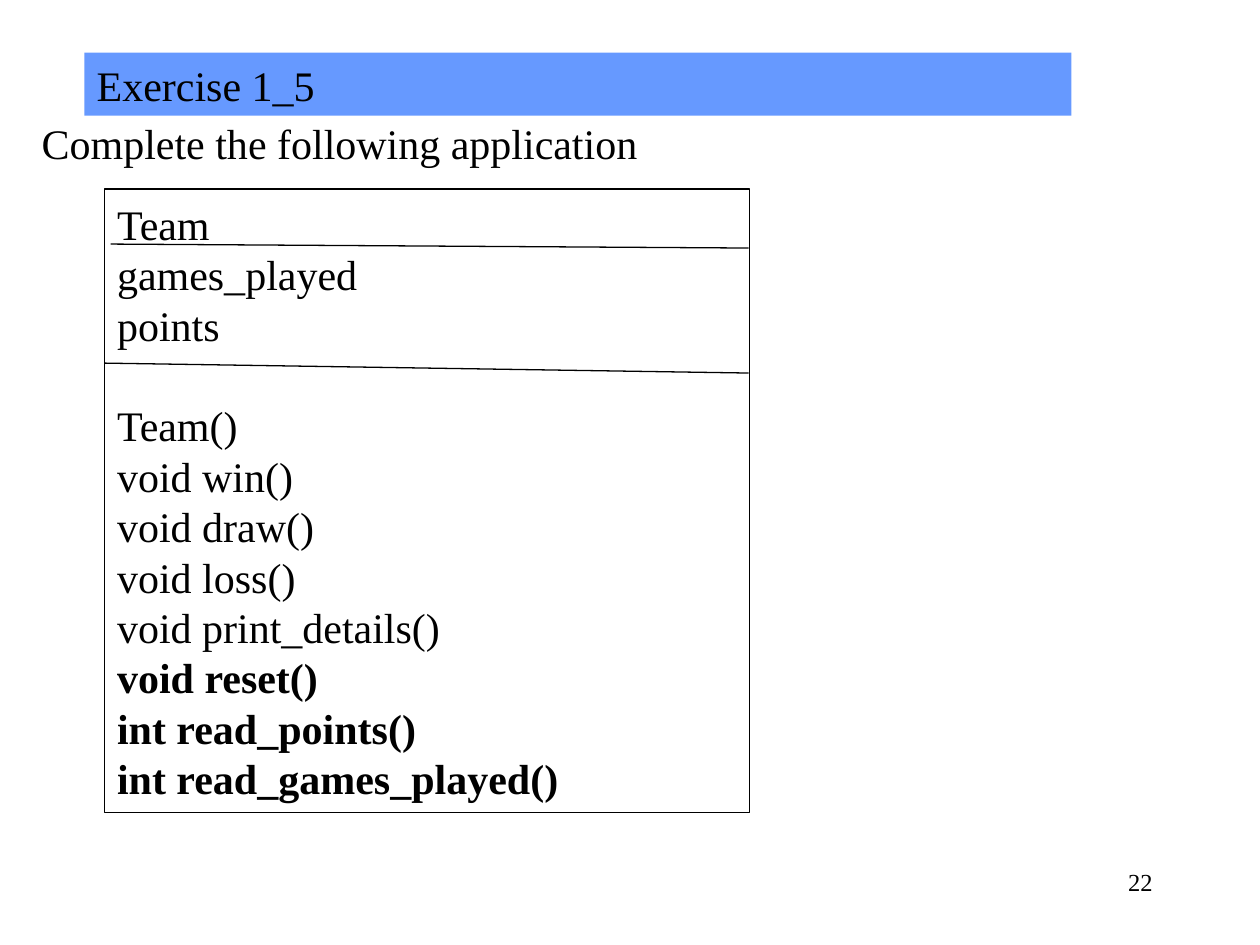
from dataclasses import dataclass

from pptx import Presentation
from pptx.dml.color import RGBColor
from pptx.enum.shapes import MSO_CONNECTOR, MSO_SHAPE
from pptx.enum.text import MSO_ANCHOR, MSO_AUTO_SIZE, PP_ALIGN
from pptx.oxml.ns import qn
from pptx.util import Cm, Pt

COLORS = {"banner": "6699FF", "ink": "000000"}
FONT = "Times New Roman"
BODY_SIZE = 24
LINE_PITCH = 1.2 * BODY_SIZE


@dataclass
class Line:
    text: str
    bold: bool = False
    gap_before: float = 0


@dataclass
class Divider:
    left: float
    top: float
    right: float
    bottom: float


TEAM_CLASS = [
    Line("Team"),
    Line("games_played"),
    Line("points"),
    Line("Team()", gap_before=LINE_PITCH),
    Line("void win()"),
    Line("void draw()"),
    Line("void loss()"),
    Line("void print_details()"),
    Line("void reset()", bold=True),
    Line("int read_points()", bold=True),
    Line("int read_games_played()", bold=True),
]
DIVIDERS = [
    Divider(2.23, 4.92, 15.09, 5.0),
    Divider(2.11, 7.32, 15.09, 7.52),
]


def color(name: str) -> RGBColor:
    return RGBColor.from_string(COLORS[name])


def write(shape, lines: list[Line], size: float = BODY_SIZE,
          align=PP_ALIGN.LEFT, anchor=MSO_ANCHOR.TOP, wrap: bool = True) -> None:
    frame = shape.text_frame
    frame.word_wrap = wrap
    frame.auto_size = MSO_AUTO_SIZE.NONE
    frame.vertical_anchor = anchor
    frame.margin_left = frame.margin_right = Cm(0.25)
    frame.margin_top = frame.margin_bottom = Cm(0.13)
    for index, line in enumerate(lines):
        paragraph = frame.add_paragraph() if index else frame.paragraphs[0]
        paragraph.alignment = align
        paragraph.line_spacing = Pt(1.2 * size)
        paragraph.space_before = Pt(line.gap_before)
        run = paragraph.add_run()
        run.text = line.text
        run.font.name = FONT
        run.font.size = Pt(size)
        run.font.bold = line.bold
        run.font.color.rgb = color("ink")


def draw_divider(slide, divider: Divider) -> None:
    connector = slide.shapes.add_connector(
        MSO_CONNECTOR.STRAIGHT, Cm(divider.left), Cm(divider.top),
        Cm(divider.right), Cm(divider.bottom))
    connector.line.color.rgb = color("ink")
    connector.line.width = Pt(0.75)
    properties = connector._element.spPr
    properties.append(properties.makeelement(qn("a:effectLst"), {}))


presentation = Presentation()
presentation.slide_width, presentation.slide_height = Cm(25.4), Cm(19.05)
slide = presentation.slides.add_slide(presentation.slide_layouts[5])

# Title banner
banner = slide.shapes.title
banner.left, banner.top, banner.width, banner.height = Cm(1.7), Cm(1.06), Cm(19.9), Cm(1.27)
banner.fill.solid()
banner.fill.fore_color.rgb = color("banner")
write(banner, [Line("Exercise 1_5")])

# Instruction
instruction = slide.shapes.add_textbox(Cm(0.59), Cm(2.24), Cm(12.9), Cm(1.29))
write(instruction, [Line("Complete the following application")], wrap=False)

# Class diagram
class_box = slide.shapes.add_shape(
    MSO_SHAPE.RECTANGLE, Cm(2.11), Cm(3.81), Cm(13.0), Cm(12.57))
class_box.shadow.inherit = False
class_box.fill.background()
class_box.line.color.rgb = color("ink")
class_box.line.width = Pt(0.75)
write(class_box, TEAM_CLASS, anchor=MSO_ANCHOR.MIDDLE)
for divider in DIVIDERS:
    draw_divider(slide, divider)

# Page number
page_number = slide.shapes.add_textbox(Cm(18.2), Cm(17.35), Cm(5.29), Cm(1.27))
write(page_number, [Line("22")], size=14, align=PP_ALIGN.RIGHT)

presentation.save("out.pptx")
